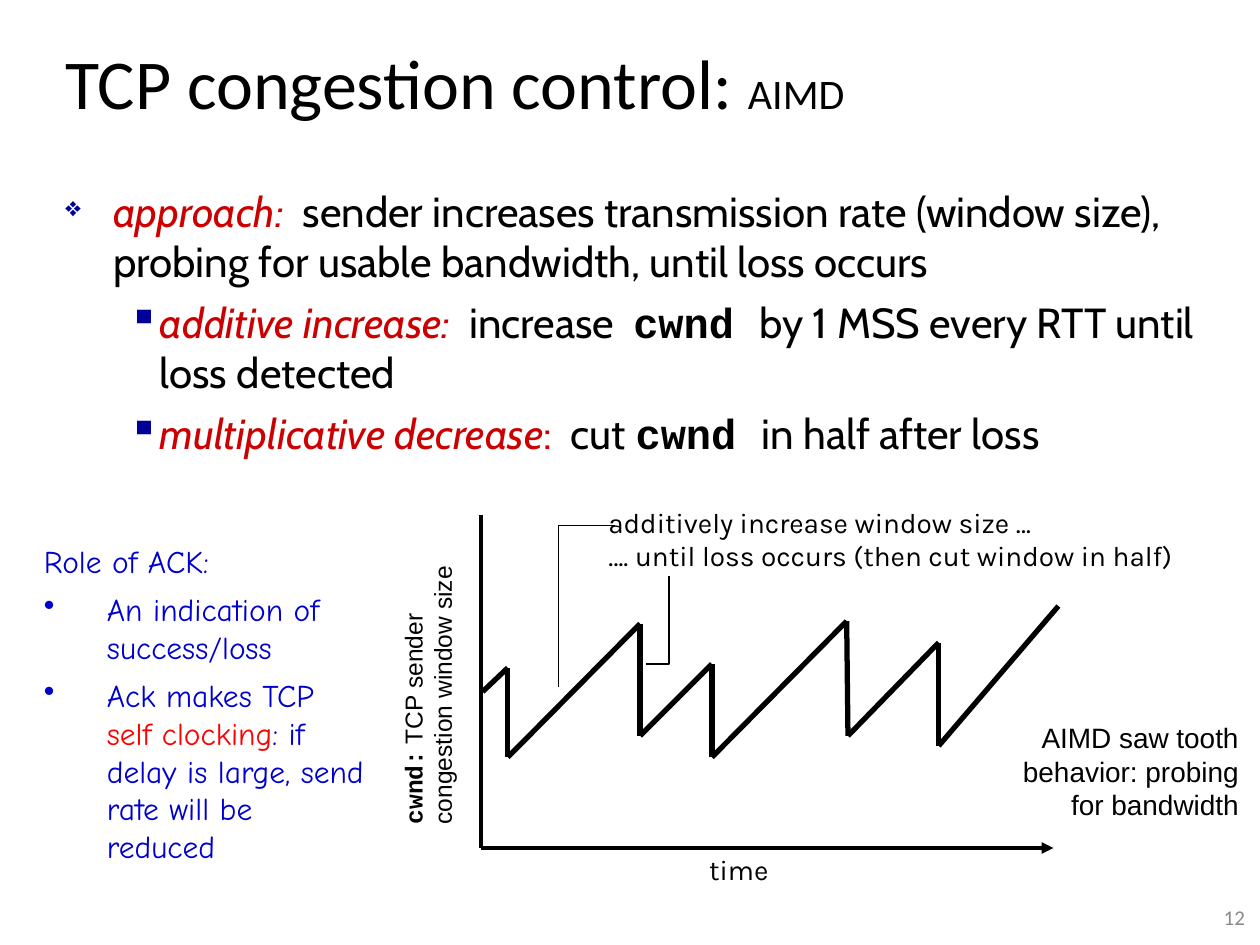
from dataclasses import dataclass
from itertools import pairwise

from lxml import etree
from pptx import Presentation
from pptx import util as u
from pptx.dml.color import RGBColor
from pptx.enum import shapes, text
from pptx.oxml import ns


@dataclass(frozen=True)
class Theme:
    black: str = "000000"
    white: str = "FFFFFF"
    term: str = "CC0000"
    bullet: str = "000099"
    note: str = "0000CC"
    alert: str = "FF0000"
    number: str = "898989"
    heading: str = "Calibri"
    body: str = "Cabin"
    code: str = "Courier New"
    axis: str = "Arial"
    label: str = "Karla"
    hand: str = "Comic Neue"
    title_size: int = 40
    body_size: int = 24
    note_size: int = 18
    label_size: int = 16
    axis_size: int = 14
    number_size: int = 12


THEME = Theme()


@dataclass(frozen=True)
class Box:
    left: float
    top: float
    width: float
    height: float

    def point(self, x, y):
        return u.Inches(self.left + x), u.Inches(self.top + y)

    def inner(self, x, y, width, height):
        return Box(self.left + x, self.top + y, width, height)

    def inches(self):
        return [u.Inches(n) for n in (self.left, self.top, self.width, self.height)]


def child(parent, tag, **attributes):
    return etree.SubElement(parent, ns.qn(tag), **attributes)


def set_indent(para, margin, hanging, bullet=None, color=None, percent=100):
    properties = para._p.get_or_add_pPr()
    properties.set("marL", str(u.Inches(margin)))
    properties.set("indent", str(-u.Inches(hanging)))
    if bullet:
        child(child(properties, "a:buClr"), "a:srgbClr", val=color)
        child(properties, "a:buSzPct", val=str(percent * 1000))
        child(properties, "a:buChar", char=bullet)


def write(page, box, lines, font, size, color=THEME.black, align="LEFT", anchor="TOP",
          wrap=True, grow=False, before=0, spacing=None, indents=(), levels=()):
    area = page.shapes.add_textbox(*box.inches())
    frame = area.text_frame
    frame.word_wrap = wrap
    frame.vertical_anchor = text.MSO_ANCHOR[anchor]
    frame.auto_size = text.MSO_AUTO_SIZE.SHAPE_TO_FIT_TEXT if grow else text.MSO_AUTO_SIZE.NONE
    for index, line in enumerate(lines):
        para = frame.add_paragraph() if index else frame.paragraphs[0]
        if indents:
            set_indent(para, **indents[index])
        if levels:
            para.level = levels[index]
        para.alignment = text.PP_ALIGN[align]
        para.line_spacing = spacing
        para.space_before = u.Pt(before if index else 0)
        for piece in [line] if isinstance(line, str) else line:
            words, style = (piece, {}) if isinstance(piece, str) else piece
            span = para.add_run()
            span.text = words
            span.font.name = style.get("font", font)
            span.font.size = u.Pt(style.get("size", size))
            span.font.bold = style.get("bold", False)
            span.font.italic = style.get("italic", False)
            span.font.color.rgb = RGBColor.from_string(style.get("color", color))
    return area


def draw_line(page, start, end, weight, arrow=False):
    line = page.shapes.add_connector(shapes.MSO_CONNECTOR.STRAIGHT, *start, *end)
    line.line.color.rgb = RGBColor.from_string(THEME.black)
    line.line.width = u.Pt(weight)
    if arrow:
        child(line.line._get_or_add_ln(), "a:tailEnd", type="triangle")
    child(line._element.spPr, "a:effectLst")


def draw_leader(page, box, points):
    first, *rest = [box.point(*point) for point in points]
    builder = page.shapes.build_freeform(*first)
    builder.add_line_segments(rest, close=False)
    leader = builder.convert_to_shape()
    leader.fill.background()
    leader.line.color.rgb = RGBColor.from_string(THEME.black)
    leader.line.width = u.Pt(0.75)
    leader.shadow.inherit = False


def add_title(page, box):
    write(page, box, [["TCP congestion control: ", ("AIMD", {"size": THEME.body_size})]],
          THEME.heading, THEME.title_size, anchor="MIDDLE", spacing=0.8)


def add_approach(page, box):
    term = {"color": THEME.term, "italic": True}
    code = {"font": THEME.code, "bold": True}
    square = dict(margin=0.75, hanging=0.25, bullet="▪", color=THEME.bullet)
    diamond = dict(margin=0.38, hanging=0.38, bullet="❖", color=THEME.bullet, percent=65)
    lines = [
        [("approach:  ", term), "sender increases transmission rate (window size), "
         "probing for usable bandwidth, until loss occurs"],
        [("additive increase:", term), "  increase  ", ("cwnd ", code),
         "by 1 MSS every RTT until loss detected"],
        [("multiplicative decrease", term), (":", {"color": THEME.term}), "  cut ",
         ("cwnd ", code), "in half after loss"],
    ]
    write(page, box, lines, THEME.body, THEME.body_size, before=6,
          indents=[diamond, square, square], levels=[0, 1, 1])


def add_ack_notes(page, box):
    plain = dict(margin=0.5, hanging=0.5)
    dot = dict(plain, bullet="•", color=THEME.note)
    lines = [
        "Role of ACK:",
        "An indication of success/loss",
        ["Ack makes TCP ", ("self clocking", {"color": THEME.alert}),
         ": if delay is large, send rate will be reduced"],
    ]
    write(page, box, lines, THEME.hand, THEME.note_size, color=THEME.note,
          grow=True, before=6, indents=[plain, dot, dot])


def add_sawtooth(page, box):
    axis_label = write(page, box.inner(-1.55, 1.14, 2.25, 0.57),
                       [[("cwnd:", {"font": THEME.code, "bold": True}), " TCP sender"],
                        "congestion window size"],
                       THEME.axis, THEME.axis_size, wrap=False, grow=True)
    axis_label.rotation = 270
    axis_label.fill.solid()
    axis_label.fill.fore_color.rgb = RGBColor.from_string(THEME.white)
    write(page, box.inner(4.18, 1.58, 1.93, 0.9),
          ["AIMD saw tooth", "behavior: probing", "for bandwidth"],
          THEME.axis, THEME.label_size, align="RIGHT", grow=True)

    origin = box.point(0, box.height)
    draw_line(page, origin, box.point(box.width, box.height), 2.25, arrow=True)
    draw_line(page, box.point(0, 0), origin, 2.25)
    window = [(0.01, 1.4), (0.21, 1.21), (0.21, 1.92), (1.26, 0.86), (1.26, 1.75),
              (1.83, 1.18), (1.83, 1.92), (2.9, 0.84), (2.91, 1.75), (3.63, 1.01),
              (3.63, 1.83), (4.58, 0.72)]
    for start, end in pairwise(window):
        draw_line(page, box.point(*start), box.point(*end), 3)

    write(page, box.inner(0.91, -0.13, 4.78, 0.64),
          ["additively increase window size …",
           "…. until loss occurs (then cut window in half)"],
          THEME.label, THEME.label_size, wrap=False, grow=True)
    draw_leader(page, box, [(1.06, 0.08), (0.61, 0.08), (0.61, 1.36)])
    draw_leader(page, box, [(1.49, 0.48), (1.49, 1.18), (1.31, 1.18)])
    write(page, box.inner(1.71, 2.63, 0.67, 0.37), ["time"],
          THEME.label, THEME.label_size, wrap=False, grow=True)


def add_page_number(page, box):
    write(page, box, ["12"], THEME.heading, THEME.number_size, color=THEME.number,
          align="RIGHT", anchor="MIDDLE")


def main():
    deck = Presentation()
    deck.slide_width, deck.slide_height = u.Inches(10), u.Inches(7.5)
    page = deck.slides.add_slide(deck.slide_layouts[6])
    add_title(page, Box(0.42, 0.25, 6.5, 0.92))
    add_approach(page, Box(0.42, 1.42, 9.16, 2.33))
    add_sawtooth(page, Box(3.82, 4.09, 4.54, 2.64))
    add_ack_notes(page, Box(0.25, 4.25, 2.75, 2.67))
    add_page_number(page, Box(9.48, 7.07, 0.5, 0.42))
    deck.save("out.pptx")


if __name__ == "__main__":
    main()
